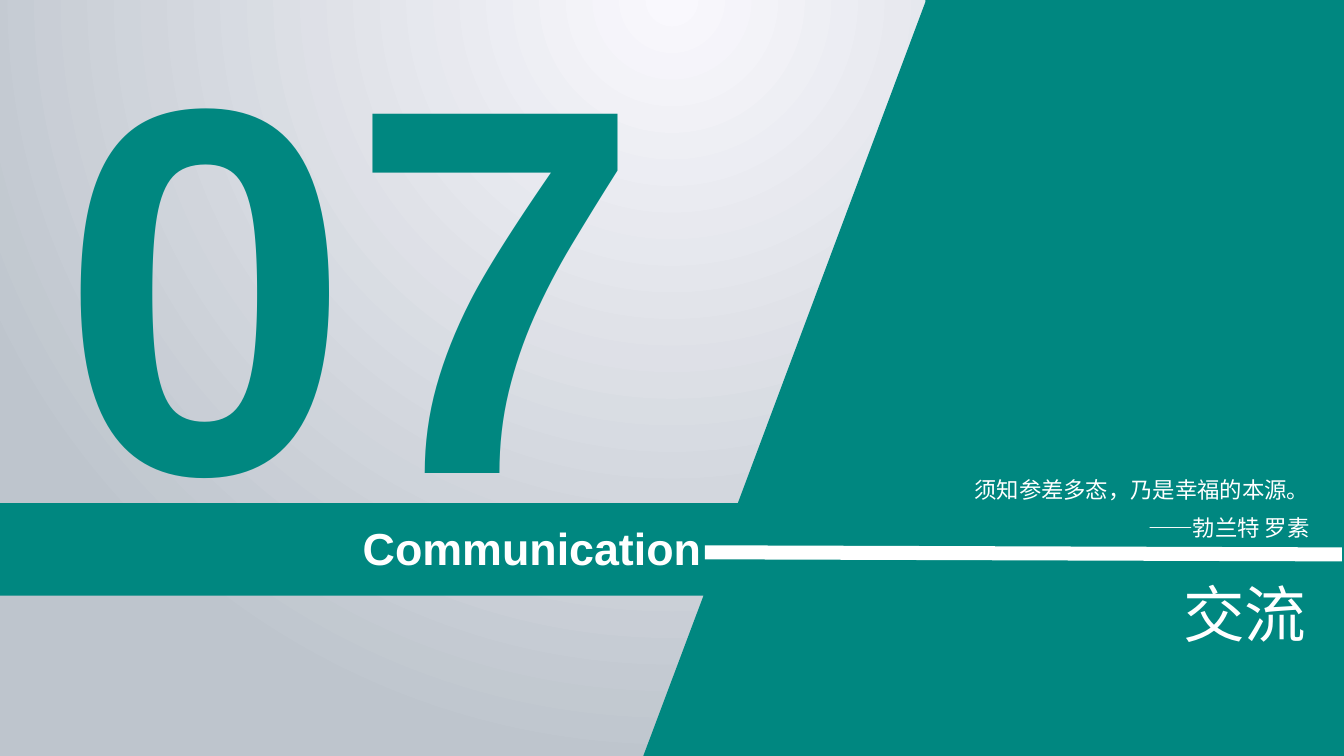
from dataclasses import dataclass

import pptx
import pptx.dml.color
import pptx.enum.shapes
import pptx.enum.text
import pptx.oxml
import pptx.oxml.ns
import pptx.slide
import pptx.util
from lxml import etree

Pt = pptx.util.Pt
qn = pptx.oxml.ns.qn
TEAL = "008780"
WHITE = "FFFFFF"
CJK = "Noto Sans CJK SC"
WIDTH, HEIGHT = 960, 540


@dataclass
class Caption:
    lines: list[str]
    left: float
    top: float
    width: float
    height: float
    size: float
    font: str
    color: str = WHITE
    bold: bool = False
    wrap: bool = True
    align: pptx.enum.text.PP_ALIGN = pptx.enum.text.PP_ALIGN.LEFT
    spacing: float = 1.0


def rgb(value: str) -> pptx.dml.color.RGBColor:
    return pptx.dml.color.RGBColor.from_string(value)


def paint_background(slide: pptx.slide.Slide) -> None:
    fill = slide.background.fill
    fill.gradient()
    for stop, color in zip(fill.gradient_stops, ("F9F8FD", "BEC5CD")):
        stop.color.rgb = rgb(color)
    gradient = next(slide.element.iter(qn("a:gradFill")))
    gradient.remove(gradient.find(qn("a:lin")))
    circle = etree.SubElement(gradient, qn("a:path"), {"path": "circle"})
    etree.SubElement(circle, qn("a:fillToRect"),
                     {"l": "50000", "t": "-80000", "r": "50000", "b": "180000"})


def draw_panel(slide: pptx.slide.Slide) -> None:
    outline = [(WIDTH, 0), (WIDTH, HEIGHT), (459.5, HEIGHT), (502.5, 425.5),
               (0, 425.5), (0, 359.5), (527, 359.5), (661, 1.5)]
    builder = slide.shapes.build_freeform(Pt(661), 0, scale=1.0)
    builder.add_line_segments([(Pt(x), Pt(y)) for x, y in outline], close=True)
    panel = builder.convert_to_shape()
    panel.shadow.inherit = False
    panel.fill.solid()
    panel.fill.fore_color.rgb = rgb(TEAL)
    panel.line.fill.background()


def draw_rule(slide: pptx.slide.Slide) -> None:
    rule = slide.shapes.add_connector(
        pptx.enum.shapes.MSO_CONNECTOR.STRAIGHT,
        Pt(503.5), Pt(394.5), Pt(958.5), Pt(396))
    rule.line.color.rgb = rgb(WHITE)
    rule.line.width = Pt(10)
    etree.SubElement(rule.element.spPr, qn("a:effectLst"))


def draw_caption(slide: pptx.slide.Slide, caption: Caption) -> None:
    box = slide.shapes.add_textbox(
        Pt(caption.left), Pt(caption.top), Pt(caption.width), Pt(caption.height))
    frame = box.text_frame
    frame.word_wrap = caption.wrap
    frame.auto_size = pptx.enum.text.MSO_AUTO_SIZE.SHAPE_TO_FIT_TEXT
    frame.text = "\n".join(caption.lines)
    for paragraph in frame.paragraphs:
        paragraph.alignment = caption.align
        paragraph.line_spacing = caption.spacing
        font = paragraph.font
        font.size = Pt(caption.size)
        font.bold = caption.bold
        font.color.rgb = rgb(caption.color)
        font.name = caption.font
        properties = next(paragraph._p.iter(qn("a:defRPr")))
        etree.SubElement(properties, qn("a:ea"), {"typeface": caption.font})


def main() -> None:
    deck = pptx.Presentation()
    deck.slide_width, deck.slide_height = Pt(WIDTH), Pt(HEIGHT)
    slide = deck.slides.add_slide(deck.slide_layouts[6])

    section_number = Caption(["07"], 36, -38.16, 433.44, 459.36, 373, "Arial",
                             color=TEAL, bold=True, wrap=False)
    chinese_title = Caption(["交流"], 838, 407.5, 222.5, 60.5, 44, CJK)
    quote = Caption(["须知参差多态，乃是幸福的本源。", "——勃兰特 罗素"],
                    616.3, 329, 326.2, 59.8, 16, CJK,
                    align=pptx.enum.text.PP_ALIGN.RIGHT, spacing=1.4)
    english_title = Caption(["Communication"], 252, 368.6, 258.5, 46, 32, "Arial",
                            bold=True, wrap=False)

    paint_background(slide)
    draw_caption(slide, section_number)
    draw_panel(slide)
    draw_caption(slide, chinese_title)
    draw_rule(slide)
    draw_caption(slide, quote)
    draw_caption(slide, english_title)
    deck.save("out.pptx")


if __name__ == "__main__":
    main()
